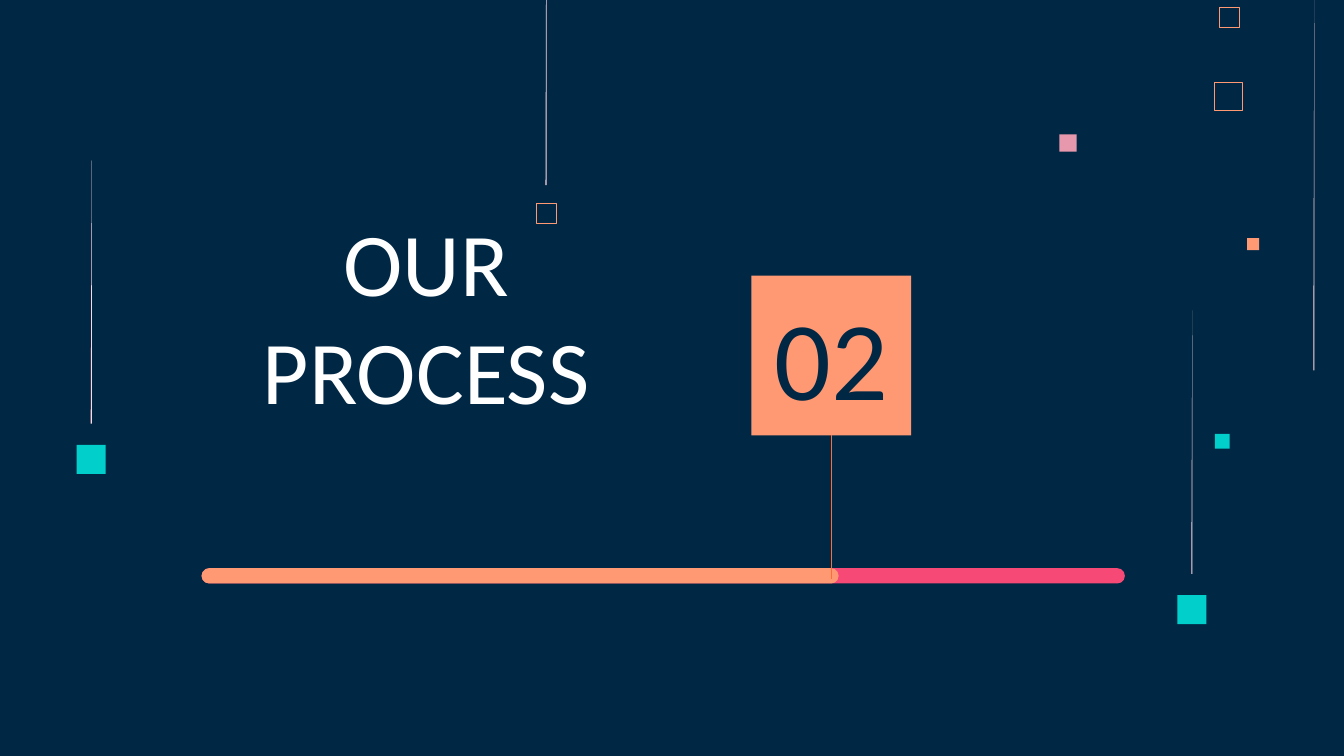
from lxml.etree import SubElement
from pptx import Presentation
from pptx.dml.color import RGBColor
from pptx.enum.shapes import MSO_CONNECTOR, MSO_SHAPE
from pptx.enum.text import MSO_ANCHOR, PP_ALIGN
from pptx.oxml.ns import qn
from pptx.util import Cm, Pt

NAVY, WHITE, BLUSH = "002845", "FFFFFF", "FFD6E1"
ORANGE, TEAL, PINK, ROSE = "FF9973", "00CFCC", "E898AC", "F64975"
STEM_ORANGE = "FB6D39"


def color(hex_code):
    """Turn a hex string into a colour."""
    return RGBColor.from_string(hex_code)


def paint(shape, fill=None, outline=None, weight=0.5):
    """Set fill and outline, leaving out whichever is not given."""
    shape.shadow.inherit = False
    if fill:
        shape.fill.solid()
        shape.fill.fore_color.rgb = color(fill)
    else:
        shape.fill.background()
    if outline:
        shape.line.color.rgb = color(outline)
        shape.line.width = Pt(weight)
    else:
        shape.line.fill.background()


def add_block(slide, box, kind=MSO_SHAPE.RECTANGLE, **style):
    """Place a painted preset shape in a box."""
    block = slide.shapes.add_shape(kind, *map(Cm, box))
    paint(block, **style)
    return block


def add_square(slide, left, top, side, **style):
    """Place a small decorative square."""
    add_block(slide, (left, top, side, side), **style)


def add_streak(slide, box, top_width=0):
    """Draw a thin streak that widens towards its foot."""
    left, top, width, height = box
    right, bottom = left + width, top + height
    corners = [(right, top), (right - top_width, top), (left, bottom), (right, bottom)]
    points = [(Cm(x), Cm(y)) for x, y in corners]
    builder = slide.shapes.build_freeform(*points[0])
    builder.add_line_segments(points[1:], close=True)
    paint(builder.convert_to_shape(), fill=BLUSH)


def add_pendant(slide, box, streak_height, top_width=0, **style):
    """Hang a square at the foot of a box, below a centred streak."""
    left, top, side, height = box
    streak_box = (left + side / 2 - 0.01, top, 0.02, streak_height)
    add_streak(slide, streak_box, top_width)
    add_square(slide, left, top + height - side, side, **style)


def add_label(slide, box, wording, size, ink, anchor):
    """Place a centred line of large text."""
    frame = slide.shapes.add_textbox(*map(Cm, box)).text_frame
    frame.word_wrap = True
    frame.vertical_anchor = anchor
    frame.margin_left = frame.margin_right = Cm(0.25)
    frame.margin_top = frame.margin_bottom = Cm(0.25)
    frame.text = wording
    paragraph = frame.paragraphs[0]
    paragraph.alignment = PP_ALIGN.CENTER
    font = paragraph.runs[0].font
    font.name, font.size = "Calibri", Pt(size)
    font.color.rgb = color(ink)


def add_decoration(slide, box):
    """Scatter squares and streaks over the box."""
    left, top, width, height = box
    squares = [
        (20.02, 2.54, 0.33, {"fill": PINK}),
        (22.96, 8.2, 0.28, {"fill": TEAL}),
        (22.96, 1.55, 0.53, {"outline": ORANGE, "weight": 0.45}),
        (23.04, 0.13, 0.38, {"outline": ORANGE, "weight": 0.32}),
        (23.57, 4.5, 0.23, {"fill": ORANGE}),
    ]
    for x, y, side, style in squares:
        add_square(slide, left + x, top + y, side, **style)
    add_streak(slide, (left + width - 0.58, top, 0.02, height * 0.49))
    add_pendant(slide, (left + 10.13, top, 0.38, 4.22), 3.5, 0.01,
                outline=ORANGE, weight=0.32)
    for x, y in [(22.25, 5.87), (1.45, 3.03)]:
        add_pendant(slide, (left + x, top + y, 0.55, 5.93), 4.98, fill=TEAL)


def add_number(slide, box):
    """Place the section number on its square."""
    left, top, side, _ = box
    add_square(slide, left, top, side, fill=ORANGE)
    add_label(slide, (left + 0.15, top + 0.71, side - 0.3, 1.6), "02", 60, NAVY,
              MSO_ANCHOR.MIDDLE)


def add_progress(slide, box, done):
    """Draw the rounded track and the part already done."""
    left, top, width, height = box
    for length, fill in [(width, ROSE), (done, ORANGE)]:
        bar = add_block(slide, (left, top, length, height),
                        MSO_SHAPE.ROUNDED_RECTANGLE, fill=fill)
        bar.adjustments[0] = 0.5


def add_stem(slide, x, top, bottom):
    """Link the number to the progress track."""
    stem = slide.shapes.add_connector(
        MSO_CONNECTOR.STRAIGHT, Cm(x), Cm(top), Cm(x), Cm(bottom))
    stem.line.color.rgb = color(STEM_ORANGE)
    stem.line.width = Pt(0.75)
    SubElement(stem.element.spPr, qn("a:effectLst"))


def add_section(slide, box):
    """Lay out the section opener inside the box."""
    left, top, _, _ = box
    add_label(slide, (left + 3.28, top + 5.89, 9.55, 2.34), "OUR PROCESS", 48, WHITE,
              MSO_ANCHOR.BOTTOM)
    number_box = (left + 14.2, top + 5.21, 3.02, 3.02)
    add_number(slide, number_box)
    add_progress(slide, (left + 3.81, top + 10.74, 17.45, 0.29), 12.04)
    number_left, number_top, side, _ = number_box
    add_stem(slide, number_left + side / 2, number_top + side, top + 10.95)


def main():
    """Build and save the slide."""
    deck = Presentation()
    page = (0, 0, 25.4, 14.29)
    deck.slide_width, deck.slide_height = Cm(page[2]), Cm(page[3])
    slide = deck.slides.add_slide(deck.slide_layouts[6])
    slide.background.fill.solid()
    slide.background.fill.fore_color.rgb = color(NAVY)
    add_decoration(slide, page)
    add_section(slide, page)
    deck.save("out.pptx")


if __name__ == "__main__":
    main()
